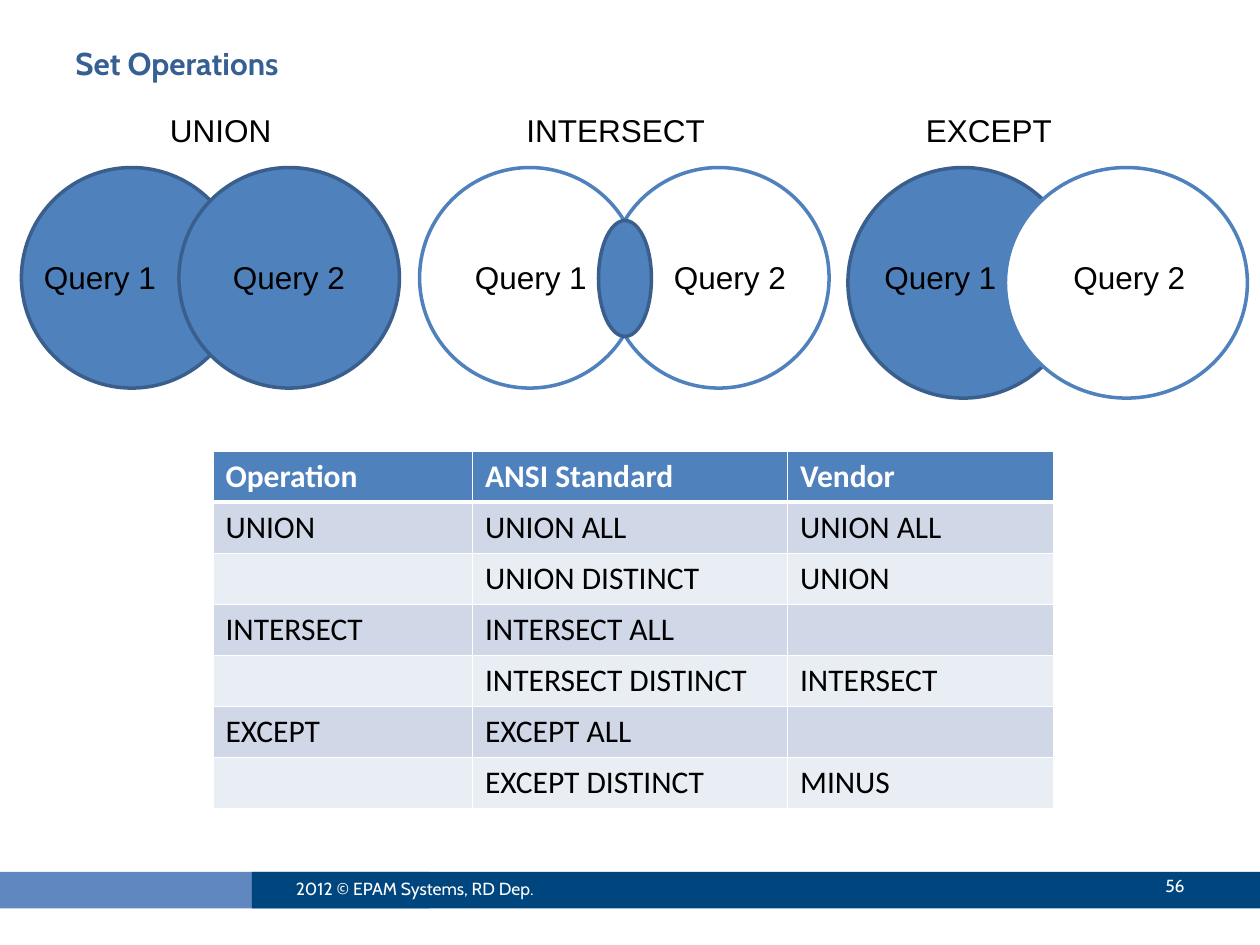
from lxml import etree
from pptx import Presentation
from pptx import util as u
from pptx.dml.color import RGBColor
from pptx.enum import shapes, text
from pptx.oxml.ns import qn

BLUE = RGBColor(0x4F, 0x81, 0xBD)
DARK_BLUE = RGBColor(0x3A, 0x5F, 0x8C)
TITLE_BLUE = RGBColor(0x37, 0x60, 0x92)
BAND_LIGHT = RGBColor(0xE9, 0xED, 0xF4)
BAND_DARK = RGBColor(0xD0, 0xD8, 0xE8)
FOOTER_LIGHT = RGBColor(0x60, 0x87, 0xBF)
FOOTER_DARK = RGBColor(0x00, 0x46, 0x7E)
WHITE = RGBColor(0xFF, 0xFF, 0xFF)
BLACK = RGBColor(0x00, 0x00, 0x00)

FILLED = (BLUE, DARK_BLUE)
HOLLOW = (WHITE, BLUE)


class SlideBuilder:
    def __init__(self, page, font="Arial", size=18, color=BLACK):
        self.page = page
        self.font = font
        self.size = size
        self.color = color

    def style(self, para, font=None, size=None, color=None, bold=False):
        for span in para.runs:
            span.font.name = font or self.font
            span.font.size = u.Pt(size or self.size)
            span.font.color.rgb = self.color if color is None else color
            span.font.bold = bold

    def label(self, words, left, top, width=1.51, height=0.42,
              anchor=text.MSO_ANCHOR.TOP, align=text.PP_ALIGN.LEFT, **style):
        box = self.page.shapes.add_textbox(
            u.Inches(left), u.Inches(top), u.Inches(width), u.Inches(height))
        frame = box.text_frame
        frame.word_wrap = True
        frame.vertical_anchor = anchor
        frame.text = words
        para = frame.paragraphs[0]
        para.alignment = align
        self.style(para, **style)

    def shape(self, kind, left, top, width, height, fill, line=None):
        shape = self.page.shapes.add_shape(
            kind, u.Inches(left), u.Inches(top), u.Inches(width), u.Inches(height))
        shape.shadow.inherit = False
        shape.fill.solid()
        shape.fill.fore_color.rgb = fill
        if line is None:
            shape.line.fill.background()
        else:
            shape.line.color.rgb = line
            shape.line.width = u.Pt(2)

    def bar(self, left, width, fill):
        self.shape(shapes.MSO_SHAPE.RECTANGLE, left, 6.92, width, 0.29, fill)

    def ellipse(self, left, top, width, height, colors):
        self.shape(shapes.MSO_SHAPE.OVAL, left, top, width, height, *colors)

    def border(self, cell, side, points):
        props = cell._tc.get_or_add_tcPr()
        line = etree.SubElement(props, qn("a:ln" + side), w=str(u.Pt(points)))
        fill = etree.SubElement(line, qn("a:solidFill"))
        etree.SubElement(fill, qn("a:srgbClr"), val=str(WHITE))

    def table(self, rows, left, top, widths, height):
        table = self.page.shapes.add_table(
            len(rows), len(widths), u.Inches(left), u.Inches(top),
            u.Inches(sum(widths)), u.Inches(height)).table
        for column, width in zip(table.columns, widths):
            column.width = u.Inches(width)
        for r, row in enumerate(rows):
            header = r == 0
            band = BLUE if header else BAND_DARK if r % 2 else BAND_LIGHT
            for c, words in enumerate(row):
                cell = table.cell(r, c)
                for side in "LRTB":
                    thick = (r, side) in ((0, "B"), (1, "T"))
                    self.border(cell, side, 3 if thick else 1)
                cell.fill.solid()
                cell.fill.fore_color.rgb = band
                if words:
                    cell.text = words
                    self.style(cell.text_frame.paragraphs[0], font="Calibri",
                               color=WHITE if header else BLACK, bold=header)


def main():
    deck = Presentation()
    deck.slide_width, deck.slide_height = u.Inches(10), u.Inches(7.5)
    builder = SlideBuilder(deck.slides.add_slide(deck.slide_layouts[6]))

    # Footer
    builder.bar(-0.02, 3.43, FOOTER_LIGHT)
    builder.bar(2, 8, FOOTER_DARK)
    footer = dict(height=0.4, anchor=text.MSO_ANCHOR.MIDDLE,
                  font="Cabin", size=10, color=WHITE)
    builder.label("2012 © EPAM Systems, RD Dep.", 2.25, 6.85, 2.67, **footer)
    builder.label("56", 8.42, 6.83, 1.08, align=text.PP_ALIGN.RIGHT, **footer)

    # Title
    builder.label("Set Operations", 0.5, 0.3, 9, 0.78,
                  font="Cabin", color=TITLE_BLUE, bold=True)

    # Operations table
    builder.table([
        ("Operation", "ANSI Standard", "Vendor"),
        ("UNION", "UNION ALL", "UNION ALL"),
        ("", "UNION DISTINCT", "UNION"),
        ("INTERSECT", "INTERSECT ALL", ""),
        ("", "INTERSECT DISTINCT", "INTERSECT"),
        ("EXCEPT", "EXCEPT ALL", ""),
        ("", "EXCEPT DISTINCT", "MINUS"),
    ], 1.69, 3.58, (2.06, 2.5, 2.11), 2.84)

    # Venn diagrams: heading, its left and width, circles, query label lefts
    diagrams = [
        ("UNION", 1.25, 1.51,
         [(0.17, 1.75, 1.75, FILLED), (1.42, 1.75, 1.75, FILLED)], (0.25, 1.75)),
        ("INTERSECT", 4.08, 1.63,
         [(3.33, 1.75, 1.75, HOLLOW), (4.83, 1.75, 1.75, HOLLOW)], (3.67, 5.25)),
        ("EXCEPT", 7.25, 1.51,
         [(6.73, 1.83, 1.83, FILLED), (7.98, 1.92, 1.83, HOLLOW)], (6.92, 8.42)),
    ]
    for heading, heading_left, heading_width, circles, label_lefts in diagrams:
        builder.label(heading, heading_left, 0.83, heading_width)
        for left, width, height, colors in circles:
            builder.ellipse(left, 1.33, width, height, colors)
        for number, left in enumerate(label_lefts, 1):
            builder.label(f"Query {number}", left, 2)

    # Overlap of the INTERSECT circles
    builder.ellipse(4.75, 1.75, 0.42, 0.92, FILLED)

    deck.save("out.pptx")


if __name__ == "__main__":
    main()
